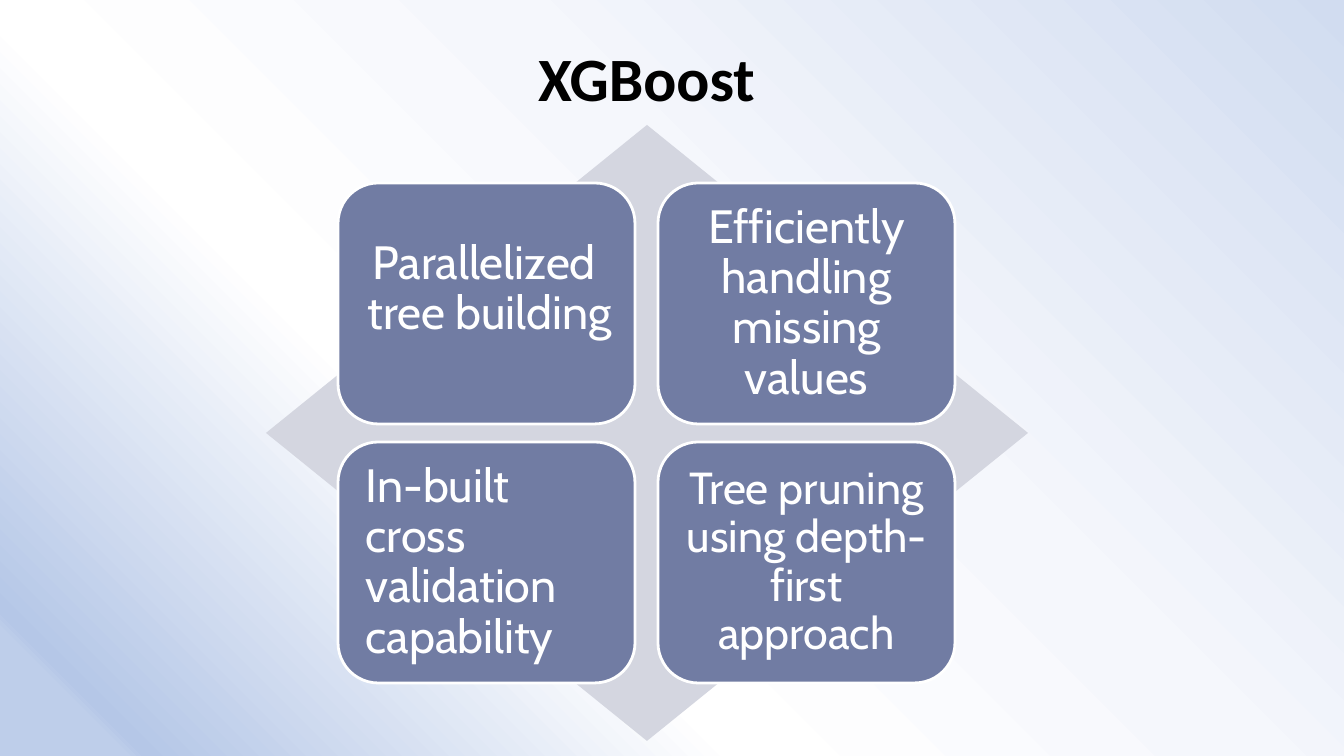
from dataclasses import dataclass

from lxml import etree
from pptx import Presentation
from pptx.dml.color import RGBColor
from pptx.enum.shapes import MSO_SHAPE
from pptx.enum.text import MSO_ANCHOR, MSO_AUTO_SIZE, PP_ALIGN
from pptx.oxml.ns import qn
from pptx.util import Emu, Pt

DIAMOND = MSO_SHAPE.DIAMOND
ROUNDED = MSO_SHAPE.ROUNDED_RECTANGLE
TOP, MIDDLE = MSO_ANCHOR.TOP, MSO_ANCHOR.MIDDLE
LEFT, CENTER = PP_ALIGN.LEFT, PP_ALIGN.CENTER
FIT_SHAPE = MSO_AUTO_SIZE.SHAPE_TO_FIT_TEXT
NO_FIT = MSO_AUTO_SIZE.NONE

SLIDE_W, SLIDE_H = 1344, 756
EMU_PER_PX = 9144000 / SLIDE_W


@dataclass(frozen=True)
class Theme:
    title_font: str = "Calibri"
    card_font: str = "Cabin"
    title_size: int = 33
    card_size: int = 25
    small_card_size: int = 24
    title_color: str = "000000"
    card_text: str = "FFFFFF"
    card_fill: str = "717CA3"
    card_line: str = "FFFFFF"
    diamond_fill: str = "D4D6E0"
    backdrop: tuple = ((0, "BECEEA"), (6, "BECEEA"), (7, "B5C7E7"),
                       (35, "FFFFFF"), (60, "F5F7FC"), (100, "D1DCF0"))


THEME = Theme()


def px(length):
    return Emu(round(length * EMU_PER_PX))


def place(box):
    return [px(length) for length in box]


def write(frame, text, *, font, size, color, bold=False, align=CENTER,
          anchor=MIDDLE, margins=(16, 16), fit=NO_FIT):
    """Fill a text frame, one paragraph per line; margins are (side, top)."""
    frame.text = text
    frame.word_wrap = True
    frame.auto_size = fit
    frame.vertical_anchor = anchor
    frame.margin_left = frame.margin_right = px(margins[0])
    frame.margin_top = frame.margin_bottom = px(margins[1])
    for paragraph in frame.paragraphs:
        paragraph.alignment = align
        paragraph.line_spacing = 0.9
        paragraph.space_before = Pt(0)
        for run in paragraph.runs:
            run.font.name = font
            run.font.size = Pt(size)
            run.font.bold = bold
            run.font.color.rgb = RGBColor.from_string(color)


def add_filled(slide, kind, box, fill, line=None):
    shape = slide.shapes.add_shape(kind, *place(box))
    shape.shadow.inherit = False
    shape.fill.solid()
    shape.fill.fore_color.rgb = RGBColor.from_string(fill)
    if line:
        shape.line.color.rgb = RGBColor.from_string(line)
        shape.line.width = Pt(1.5)
    else:
        shape.line.fill.background()
    return shape


def paint_backdrop(slide):
    """Radial gradient that spreads from the bottom left corner."""
    slide.background.fill.gradient()
    gradient = slide.element.find(".//" + qn("a:gradFill"))
    for child in list(gradient):
        gradient.remove(child)
    stops = etree.SubElement(gradient, qn("a:gsLst"))
    for percent, color in THEME.backdrop:
        stop = etree.SubElement(stops, qn("a:gs"), pos=str(percent * 1000))
        etree.SubElement(stop, qn("a:srgbClr"), val=color)
    circle = etree.SubElement(gradient, qn("a:path"))
    circle.set("path", "circle")
    etree.SubElement(circle, qn("a:fillToRect"), t="100000", r="100000")


def add_title(slide, box, text):
    title = slide.shapes.title
    title.left, title.top, title.width, title.height = place(box)
    write(title.text_frame, text, font=THEME.title_font, size=THEME.title_size,
          color=THEME.title_color, bold=True, margins=(9, 5))


def add_matrix(slide, box):
    """Diamond with four feature cards on a two by two grid."""
    left, top, width, height = box
    card_w, card_h = 297, 241
    gap_x, gap_y = 23, 18
    grid_left = left + (width - 2 * card_w - gap_x) // 2
    grid_top = top + (height - 2 * card_h - gap_y) // 2
    style = {"font": THEME.card_font, "color": THEME.card_text}
    features = [
        (None, CENTER, THEME.card_size),
        ("Efficiently handling missing values", CENTER, THEME.card_size),
        ("In-built cross validation capability", LEFT, THEME.card_size),
        ("Tree pruning using depth-first approach", CENTER,
         THEME.small_card_size),
    ]

    add_filled(slide, DIAMOND, box, THEME.diamond_fill)
    for index, (feature, align, size) in enumerate(features):
        row, column = divmod(index, 2)
        card_box = (grid_left + column * (card_w + gap_x),
                    grid_top + row * (card_h + gap_y), card_w, card_h)
        card = add_filled(slide, ROUNDED, card_box,
                          THEME.card_fill, THEME.card_line)
        if feature:
            write(card.text_frame, feature, size=size, align=align, **style)

    # The first label is wider than its card's text area.
    label = slide.shapes.add_textbox(
        *place((grid_left - 18, grid_top + 43, 339, 129)))
    write(label.text_frame, "Parallelized \ntree building", anchor=TOP,
          size=THEME.card_size, margins=(13, 13), fit=FIT_SHAPE, **style)


def main():
    deck = Presentation()
    deck.slide_width, deck.slide_height = px(SLIDE_W), px(SLIDE_H)
    slide = deck.slides.add_slide(deck.slide_layouts[5])
    paint_backdrop(slide)
    add_title(slide, (67, 9, 1159, 146), "XGBoost")
    add_matrix(slide, (266, 125, 762, 616))
    deck.save("out.pptx")


if __name__ == "__main__":
    main()
